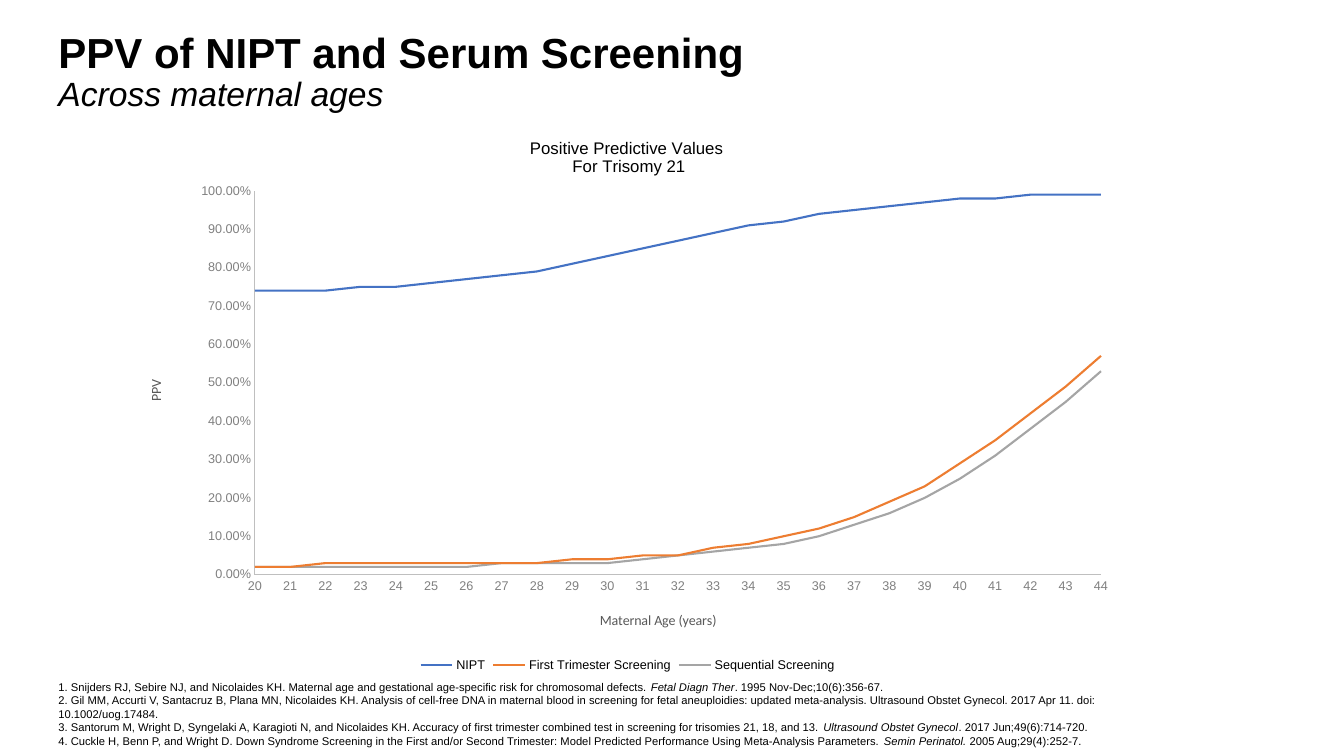
from lxml import etree
from pptx import Presentation
from pptx.chart.data import XyChartData
from pptx.dml.color import RGBColor
from pptx.enum.chart import XL_CHART_TYPE, XL_LEGEND_POSITION, XL_TICK_MARK
from pptx.enum.text import MSO_ANCHOR, PP_ALIGN
from pptx.oxml.ns import qn
from pptx.util import Inches, Pt

SMOOTH_SCATTER = XL_CHART_TYPE.XY_SCATTER_SMOOTH_NO_MARKERS
LEGEND_BOTTOM = XL_LEGEND_POSITION.BOTTOM
NO_TICKS = XL_TICK_MARK.NONE
MIDDLE = MSO_ANCHOR.MIDDLE
LEFT = PP_ALIGN.LEFT
TITLE_ONLY = 5

FIRST_AGE, LAST_AGE = 20, 44
SCREENINGS = [
    ("NIPT", "4472C4",
     [0.74, 0.74, 0.74, 0.75, 0.75, 0.76, 0.77, 0.78, 0.79, 0.81, 0.83, 0.85, 0.87,
      0.89, 0.91, 0.92, 0.94, 0.95, 0.96, 0.97, 0.98, 0.98, 0.99, 0.99, 0.99]),
    ("First Trimester Screening", "ED7D31",
     [0.02, 0.02, 0.03, 0.03, 0.03, 0.03, 0.03, 0.03, 0.03, 0.04, 0.04, 0.05, 0.05,
      0.07, 0.08, 0.1, 0.12, 0.15, 0.19, 0.23, 0.29, 0.35, 0.42, 0.49, 0.57]),
    ("Sequential Screening", "A5A5A5",
     [0.02, 0.02, 0.02, 0.02, 0.02, 0.02, 0.02, 0.03, 0.03, 0.03, 0.03, 0.04, 0.05,
      0.06, 0.07, 0.08, 0.1, 0.13, 0.16, 0.2, 0.25, 0.31, 0.38, 0.45, 0.53]),
]
REFERENCES = [
    ("1. Snijders RJ, Sebire NJ, and Nicolaides KH. Maternal age and gestational "
     "age-specific risk for chromosomal defects. ",
     "Fetal Diagn Ther", ". 1995 Nov-Dec;10(6):356-67."),
    ("2. Gil MM, Accurti V, Santacruz B, Plana MN, Nicolaides KH. Analysis of cell-free "
     "DNA in maternal blood in screening for fetal aneuploidies: updated meta-analysis. "
     "Ultrasound Obstet Gynecol. 2017 Apr 11. doi: 10.1002/uog.17484.",),
    ("3. Santorum M, Wright D, Syngelaki A, Karagioti N, and Nicolaides KH. Accuracy of "
     "first trimester combined test in screening for trisomies 21, 18, and 13. ",
     "Ultrasound Obstet Gynecol", ". 2017 Jun;49(6):714-720."),
    ("4. Cuckle H, Benn P, and Wright D. Down Syndrome Screening in the First and/or "
     "Second Trimester: Model Predicted Performance Using Meta-Analysis Parameters. ",
     "Semin Perinatol. ", "2005 Aug;29(4):252-7."),
]


def color(hex_string):
    return RGBColor.from_string(hex_string)


def style_font(font, size, hex_string="000000", face="Arial", bold=None):
    font.size = Pt(size)
    font.color.rgb = color(hex_string)
    font.name = face
    font.bold = bold


def place(parent, x, y, w=None, h=None):
    for old_layout in parent.findall(qn("c:layout")):
        parent.remove(old_layout)
    layout = etree.Element(qn("c:layout"))
    manual = etree.SubElement(layout, qn("c:manualLayout"))
    settings = [("xMode", "edge"), ("yMode", "edge"), ("x", x), ("y", y)]
    if w is not None:
        settings = [("layoutTarget", "inner"), *settings, ("w", w), ("h", h)]
    for tag, setting in settings:
        etree.SubElement(manual, qn(f"c:{tag}")).set("val", str(setting))
    parent.insert(0 if parent.find(qn("c:tx")) is None else 1, layout)


def write_chart_title(title, wording, size, hex_string, face, x, y):
    title.text_frame.text = wording
    for paragraph in title.text_frame.paragraphs:
        style_font(paragraph.font, size, hex_string, face, bold=False)
    place(title._element, x, y)


def style_axis(axis, wording, low, high, step, x, y):
    axis.minimum_scale, axis.maximum_scale, axis.major_unit = low, high, step
    axis.has_major_gridlines = False
    axis.major_tick_mark = axis.minor_tick_mark = NO_TICKS
    axis.format.line.color.rgb = color("BFBFBF")
    axis.format.line.width = Pt(0.75)
    style_font(axis.tick_labels.font, 9, "808080")
    write_chart_title(axis.axis_title, wording, 10, "595959", "Calibri", x, y)


def add_heading(slide):
    heading = slide.shapes.title
    heading.left, heading.top = Inches(0.48), Inches(0.2)
    heading.width, heading.height = Inches(12.36), Inches(1.05)
    heading.text_frame.vertical_anchor = MIDDLE
    paragraph = heading.text_frame.paragraphs[0]
    paragraph.alignment = LEFT
    paragraph.line_spacing = 0.9
    topic = paragraph.add_run()
    topic.text = "PPV of NIPT and Serum Screening"
    style_font(topic.font, 30, bold=True)
    paragraph.add_line_break()
    subtopic = paragraph.add_run()
    subtopic.text = "Across maternal ages"
    style_font(subtopic.font, 24, bold=False)
    subtopic.font.italic = True


def add_ppv_chart(slide):
    ppv_data = XyChartData(number_format="0.00%")
    for name, _, values in SCREENINGS:
        screening = ppv_data.add_series(name)
        for age, ppv in enumerate(values, FIRST_AGE):
            screening.add_data_point(age, ppv)
    chart = slide.shapes.add_chart(
        SMOOTH_SCATTER, Inches(1.23), Inches(1.11), Inches(9.99), Inches(5.6), ppv_data
    ).chart
    style_font(chart.font, 10, face="Calibri")
    chart.plots[0].vary_by_categories = False
    for curve, (_, hex_string, _) in zip(chart.plots[0].series, SCREENINGS):
        curve.smooth = True
        curve.format.line.color.rgb = color(hex_string)
        curve.format.line.width = Pt(1.5)

    write_chart_title(chart.chart_title, "Positive Predictive Values \nFor Trisomy 21",
                      12, "000000", "Arial", 0.4, 0.04)
    style_axis(chart.category_axis, "Maternal Age (years)",
               FIRST_AGE, LAST_AGE, 1, 0.47, 0.88)
    style_axis(chart.value_axis, "PPV", 0, 1, 0.1, 0.02, 0.47)
    labels = chart.category_axis.tick_labels
    labels.number_format, labels.number_format_is_linked = "0", False
    labels = chart.value_axis.tick_labels
    labels.number_format, labels.number_format_is_linked = "0.00%", False
    place(chart.plots[0]._element.getparent(), 0.13, 0.14, 0.84, 0.68)

    chart.has_legend = True
    chart.legend.position = LEGEND_BOTTOM
    chart.legend.include_in_layout = False
    style_font(chart.legend.font, 9)


def add_references(slide):
    box = slide.shapes.add_textbox(Inches(0.48), Inches(6.7), Inches(11.05), Inches(0.8))
    frame = box.text_frame
    frame.word_wrap = True
    for number, parts in enumerate(REFERENCES):
        paragraph = frame.add_paragraph() if number else frame.paragraphs[0]
        style_font(paragraph.font, 8)
        for position, wording in enumerate(parts):
            run = paragraph.add_run()
            run.text = wording
            if position == 1:
                run.font.italic = True


def main():
    deck = Presentation()
    deck.slide_width, deck.slide_height = Inches(13.33), Inches(7.5)
    slide = deck.slides.add_slide(deck.slide_layouts[TITLE_ONLY])
    add_heading(slide)
    add_ppv_chart(slide)
    add_references(slide)
    deck.save("out.pptx")


if __name__ == "__main__":
    main()
